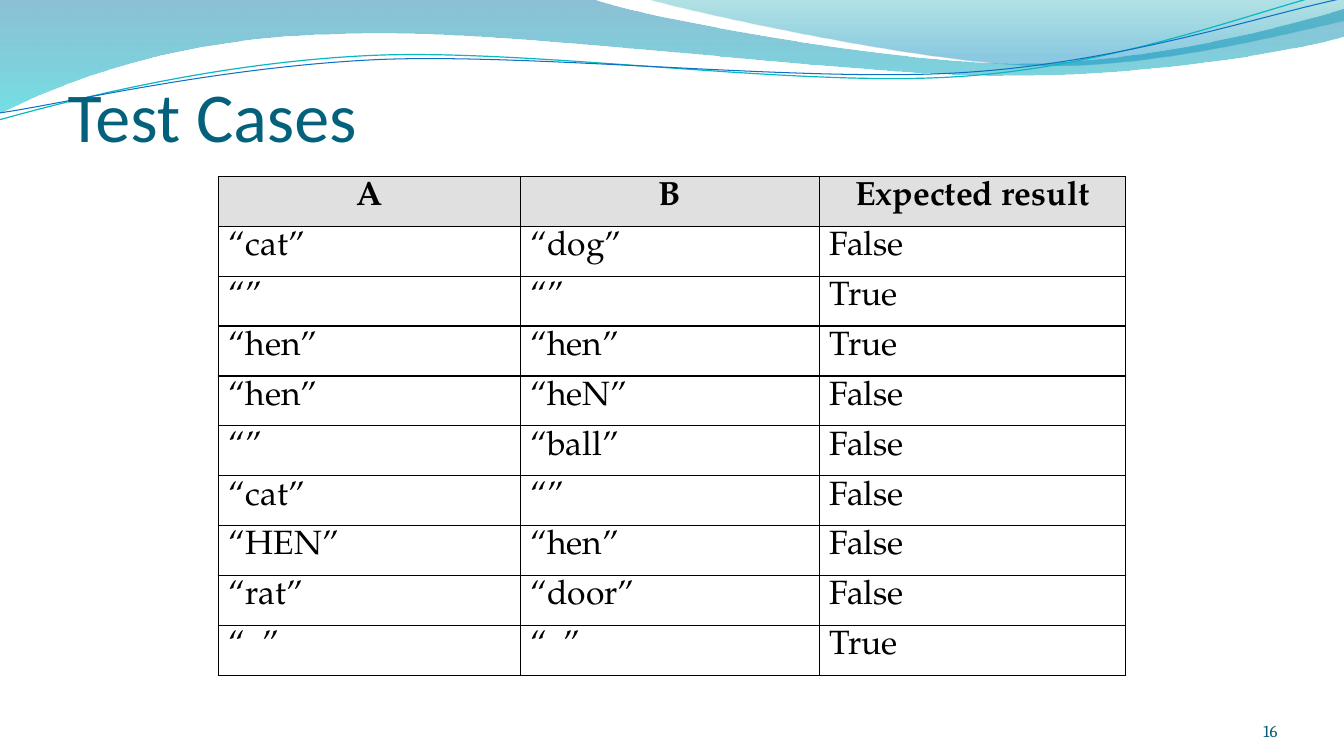
import dataclasses
import math

import pptx
import pptx.dml.color
import pptx.enum.text
import pptx.oxml
import pptx.oxml.ns
import pptx.util
from lxml import etree

Inches = pptx.util.Inches
Pt = pptx.util.Pt
Align = pptx.enum.text.PP_ALIGN
Anchor = pptx.enum.text.MSO_ANCHOR
qn = pptx.oxml.ns.qn


@dataclasses.dataclass(frozen=True)
class Theme:
    """Colours, fonts and type sizes of the deck."""
    title: str = "04617B"
    page: str = "045D75"
    ink: str = "000000"
    head: str = "E0E0E0"
    sans: str = "Calibri"
    serif: str = "Cambria"
    body: str = "TeX Gyre Pagella"
    big: int = 50
    mid: int = 24
    small: int = 12
    band: tuple = ((0, "0074A1", 45), (1, "00C6CF", 55))
    wedge: tuple = ((0, "00A1A9", 30), (0.8, "008BBF", 45))
    teal: str = "0AB8BF"
    blue: str = "0F6FC6"


THEME = Theme()

TILT = 2.7
BAND = [(0, 0), (5.87, -0.01), (6.34, 0.17, 8.85, 0.63, 10.11, 0.63),
        (11.38, 0.63, 12.78, 0.26, 13.33, 0.09), (13.35, 0.36),
        (13.11, 0.44, 11.6, 0.76, 9.94, 0.75),
        (8.29, 0.75, 5.09, 0.28, 3.43, 0.34),
        (1.72, 0.36, 0.61, 0.83, -0.01, 1.13)]
WEDGE = [(6.39, -0.01), (6.79, 0.11, 9.09, 0.62, 10.25, 0.65),
         (11.41, 0.69, 12.82, 0.32, 13.33, 0.21), (13.33, 0)]
WAVES = [
    (THEME.teal, 0.85, (6.65, 0.57),
     [(-0.01, 1.19), (0.64, 1.01, 2.11, 0.62, 3.69, 0.55),
      (5.27, 0.48, 7.9, 0.87, 9.5, 0.76),
      (11.1, 0.66, 12.52, 0.08, 13.31, -0.1)]),
    (THEME.blue, 0.75, (6.67, 0.59),
     [(0, 1.12), (0.63, 1.03, 2.18, 0.66, 3.78, 0.59),
      (5.37, 0.53, 7.96, 0.82, 9.55, 0.72),
      (11.15, 0.62, 12.55, 0.14, 13.34, -0.02)]),
]
CASES = [
    ("A", "B", "Expected result"),
    ("“cat”", "“dog”", "False"),
    ("“”", "“”", "True"),
    ("“hen”", "“hen”", "True"),
    ("“hen”", "“heN”", "False"),
    ("“”", "“ball”", "False"),
    ("“cat”", "“”", "False"),
    ("“HEN”", "“hen”", "False"),
    ("“rat”", "“door”", "False"),
    ("“  ”", "“  ”", "True"),
]


def rgb(code):
    """Turn a hex code into a colour."""
    return pptx.dml.color.RGBColor.from_string(code)


def write(frame, text, *, font, size, color, bold=False, align=Align.LEFT,
          anchor=Anchor.TOP, inset=(0, 0, 0, 0)):
    """Put one formatted paragraph into a text frame."""
    frame.word_wrap = True
    frame.vertical_anchor = anchor
    (frame.margin_left, frame.margin_top,
     frame.margin_right, frame.margin_bottom) = map(Inches, inset)
    para = frame.paragraphs[0]
    para.alignment = align
    run = para.add_run()
    run.text = text
    run.font.name = font
    run.font.size = Pt(size)
    run.font.bold = bold
    run.font.color.rgb = rgb(color)
    return para


def turn(path, mid, angle):
    """Turn every point of a path clockwise about a centre."""
    x, y = mid
    cos, sin = math.cos(math.radians(angle)), math.sin(math.radians(angle))
    return [tuple(v for a, b in zip(part[::2], part[1::2])
                  for v in (x + (a - x) * cos - (b - y) * sin,
                            y + (a - x) * sin + (b - y) * cos))
            for part in path]


def draw(slide, box, path, close):
    """Add a freeform of lines and cubic curves at its box."""
    left, top = box[:2]
    points = [(Inches(left + x), Inches(top + y)) for part in path
              for x, y in zip(part[::2], part[1::2])]
    pen = slide.shapes.build_freeform(*points[0])
    pen.add_line_segments(points[1:], close=close)
    shape = pen.convert_to_shape()
    shape.shadow.inherit = False
    lines = iter(list(shape.element.spPr.iter(qn("a:lnTo"))))
    for part in path[1:]:
        first = next(lines)
        if len(part) == 6:
            first.tag = qn("a:cubicBezTo")
            for line in (next(lines), next(lines)):
                first.append(line[0])
                line.getparent().remove(line)
    return shape


def shade(shape, stops):
    """Fill a shape with a clear gradient from top to bottom."""
    shape.line.fill.background()
    shape.fill.gradient()
    shape.fill.gradient_angle = 270
    for stop, (pos, code, _) in zip(shape.fill.gradient_stops, stops):
        stop.position = pos
        stop.color.rgb = rgb(code)
    tints = shape.element.spPr.iter(qn("a:srgbClr"))
    for tint, (_, _, alpha) in zip(list(tints), stops):
        etree.SubElement(tint, qn("a:alpha")).set("val", str(alpha * 1000))


def add_waves(slide, box):
    """Draw the shaded bands and thin waves of the top edge."""
    for path, stops in ((BAND, THEME.band), (WEDGE, THEME.wedge)):
        shade(draw(slide, box, path, True), stops)
    for color, width, mid, path in WAVES:
        wave = draw(slide, box, turn(path, mid, TILT), False)
        wave.rotation = -TILT
        wave.fill.background()
        wave.line.color.rgb = rgb(color)
        wave.line.width = Pt(width)


def add_text(slide, box, text, **look):
    """Place a text box."""
    frame = slide.shapes.add_textbox(*map(Inches, box)).text_frame
    write(frame, text, **look)


def edge(cell):
    """Rule all four sides of a cell."""
    props = cell._tc.get_or_add_tcPr()
    for side in ("lnL", "lnR", "lnT", "lnB"):
        line = etree.SubElement(props, qn("a:" + side), w=str(Pt(1)))
        fill = etree.SubElement(line, qn("a:solidFill"))
        etree.SubElement(fill, qn("a:srgbClr"), val=THEME.ink)


def add_cases(slide, box):
    """Place the table of test cases."""
    frame = slide.shapes.add_table(len(CASES), len(CASES[0]),
                                   *map(Inches, box))
    table = frame.table
    table.first_row = table.horz_banding = False
    for col, width in zip(table.columns, (2.99, 2.97, 3.03)):
        col.width = Inches(width)
    for r, row in enumerate(CASES):
        table.rows[r].height = Inches(box[3] / len(CASES))
        for c, text in enumerate(row):
            cell = table.cell(r, c)
            head = r == 0
            para = write(cell.text_frame, text, font=THEME.body,
                         size=THEME.mid, color=THEME.ink, bold=head,
                         align=Align.CENTER if head else Align.LEFT)
            props = para._p.get_or_add_pPr()
            props.set("marL", str(Inches(0.38)))
            props.set("indent", str(Inches(-0.38)))
            cell.margin_left = cell.margin_right = Inches(0.1)
            cell.margin_top, cell.margin_bottom = Inches(0.05), 0
            edge(cell)
            if head:
                cell.fill.solid()
                cell.fill.fore_color.rgb = rgb(THEME.head)
            else:
                cell.fill.background()


def main():
    """Build and save the slide."""
    deck = pptx.Presentation()
    deck.slide_width, deck.slide_height = Inches(13.33), Inches(7.5)
    slide = deck.slides.add_slide(deck.slide_layouts[6])
    add_waves(slide, (0, 0, 13.33, 1.2))
    add_text(slide, (0.67, 0.3, 12, 1.25), "Test Cases", font=THEME.sans,
             size=THEME.big, color=THEME.title, anchor=Anchor.BOTTOM,
             inset=(0, 0.05, 0, 0))
    add_cases(slide, (2.17, 1.75, 8.99, 4.95))
    add_text(slide, (11.56, 6.95, 1.11, 0.4), "16", font=THEME.serif,
             size=THEME.small, color=THEME.page, align=Align.RIGHT,
             anchor=Anchor.BOTTOM)
    deck.save("out.pptx")


if __name__ == "__main__":
    main()
